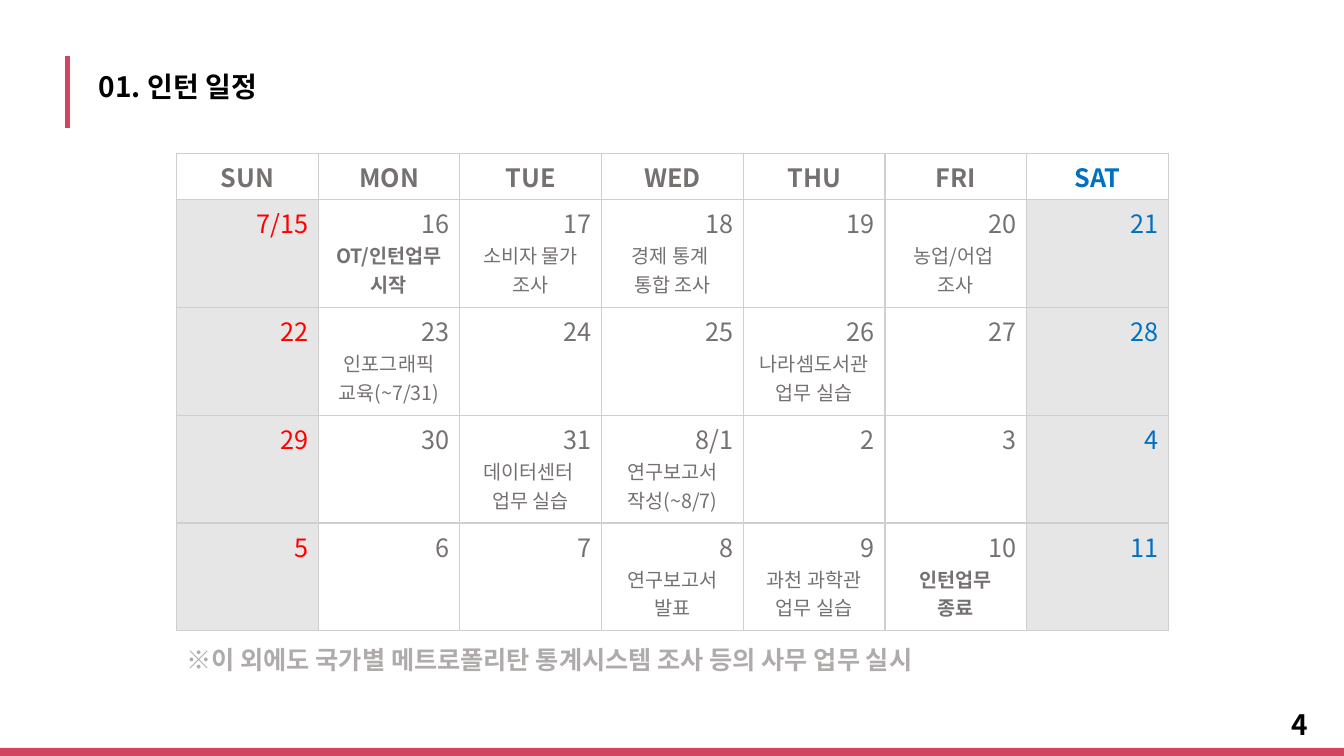
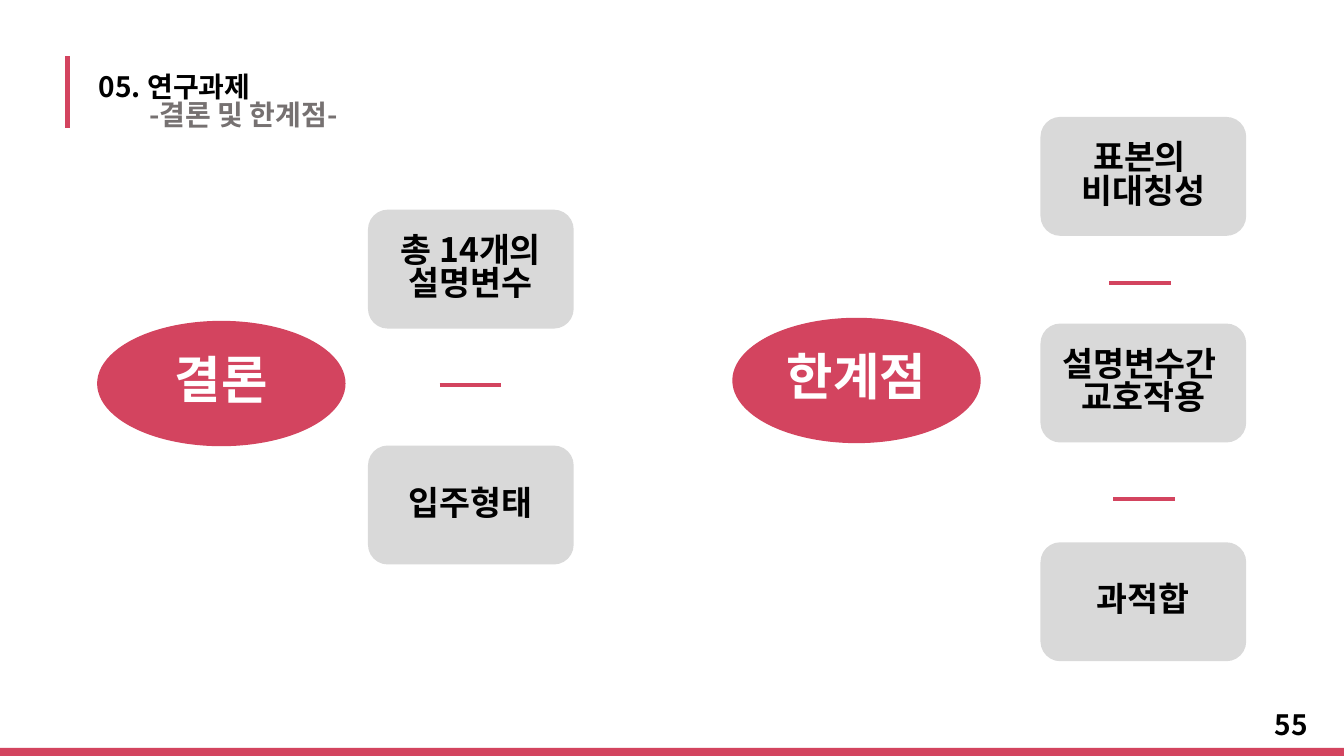
"""Builds the internship calendar slide and the conclusions slide."""
import lxml.etree
import pptx
import pptx.dml.color
import pptx.enum.shapes
import pptx.enum.text
import pptx.oxml
import pptx.oxml.ns
import pptx.util

Inches = pptx.util.Inches
RGBColor = pptx.dml.color.RGBColor
SHAPE = pptx.enum.shapes.MSO_SHAPE
ALIGN = pptx.enum.text.PP_ALIGN
ANCHOR = pptx.enum.text.MSO_ANCHOR

ROSE = RGBColor(0xD3, 0x44, 0x5F)
BLACK = RGBColor(0, 0, 0)
WHITE = RGBColor(0xFF, 0xFF, 0xFF)
TEXT_GRAY = RGBColor(0x76, 0x71, 0x71)
NOTE_GRAY = RGBColor(0xAF, 0xAB, 0xAB)
BOX_GRAY = RGBColor(0xD9, 0xD9, 0xD9)
WEEKEND_GRAY = RGBColor(0xE7, 0xE6, 0xE6)
BORDER_GRAY = RGBColor(0xD0, 0xCE, 0xCE)
RED = RGBColor(0xFF, 0, 0)
BLUE = RGBColor(0, 0x70, 0xC0)
FONT = "Noto Sans CJK KR"
TIGHT = 0.83


def write_text(frame, lines, align=ALIGN.LEFT, anchor=ANCHOR.TOP, spacing=TIGHT):
    """Fill a frame with one paragraph per (text, size, color, bold) line."""
    frame_format = {"word_wrap": True, "vertical_anchor": anchor}
    for name, value in frame_format.items():
        setattr(frame, name, value)
    for index, (text, size, color, bold) in enumerate(lines):
        para = frame.paragraphs[0] if index == 0 else frame.add_paragraph()
        para.alignment, para.line_spacing = align, spacing
        span = para.add_run()
        span.text = text
        font_format = {"name": FONT, "size": pptx.util.Pt(size), "bold": bold}
        for name, value in font_format.items():
            setattr(span.font, name, value)
        span.font.color.rgb = color
        east_asian = lxml.etree.SubElement(span.font._element, pptx.oxml.ns.qn("a:ea"))
        east_asian.set("typeface", FONT)


def add_line(page, left, top, right, bottom):
    """Draw a rose rule without shadow."""
    line = page.shapes.add_connector(
        pptx.enum.shapes.MSO_CONNECTOR.STRAIGHT,
        Inches(left), Inches(top), Inches(right), Inches(bottom))
    line.line.color.rgb = ROSE
    line.line.width = pptx.util.Pt(3)
    lxml.etree.SubElement(line._element.spPr, pptx.oxml.ns.qn("a:effectLst"))
    return line


deck = pptx.Presentation()
deck.slide_width, deck.slide_height = Inches(13.33), Inches(7.5)
layout = deck.slide_layouts[5]
for holder in list(layout.placeholders)[1:]:
    holder.element.getparent().remove(holder.element)

headings = [
    ("4", 0.44, [("01. 인턴 일정", 20, BLACK, True)]),
    ("55", 0.77, [("05. 연구과제", 20, BLACK, True),
                  ("\t-결론 및 한계점-", 20, TEXT_GRAY, True)]),
]
pages = []
for number, height, lines in headings:
    page = deck.slides.add_slide(layout)
    pages.append(page)
    if len(pages) == 1:
        band = page.shapes.add_shape(
            SHAPE.RECTANGLE, 0, Inches(7.42), deck.slide_width, Inches(0.11))
        band.height = deck.slide_height - band.top
        band.shadow.inherit = False
        band.fill.solid()
        band.fill.fore_color.rgb = ROSE
        band.line.fill.background()
        rule = add_line(page, 0.67, 0.56, 0.67, 1.27)
        for shared in (rule, band):
            layout.shapes.element.append(shared.element)
    title = page.shapes.title
    place = {"left": 0.88, "top": 0.7, "width": 4.82, "height": height}
    for name, value in place.items():
        setattr(title, name, Inches(value))
    title.text_frame.auto_size = pptx.enum.text.MSO_AUTO_SIZE.NONE
    write_text(title.text_frame, lines)
    box = page.shapes.add_textbox(Inches(10.07), Inches(7.01), Inches(3), Inches(0.4))
    write_text(box.text_frame, [(number, 20, BLACK, True)], ALIGN.RIGHT, ANCHOR.MIDDLE)

schedule, conclusion = pages

weekdays = ["SUN", "MON", "TUE", "WED", "THU", "FRI", "SAT"]
dates = ["7/15", *map(str, range(16, 32)), "8/1", *map(str, range(2, 12))]
events = {
    "16": ["OT/인턴업무 시작"],
    "17": ["소비자 물가 조사"],
    "18": ["경제 통계 ", "통합 조사"],
    "20": ["농업/어업 ", "조사"],
    "23": ["인포그래픽", "교육(~7/31)"],
    "26": ["나라셈도서관 업무 실습"],
    "31": ["데이터센터 ", "업무 실습"],
    "8/1": ["연구보고서", "작성(~8/7)"],
    "8": ["연구보고서", "발표"],
    "9": ["과천 과학관 업무 실습"],
    "10": ["인턴업무", "종료"],
}
milestones = {"16", "10"}

calendar = schedule.shapes.add_table(
    5, 7, Inches(1.75), Inches(1.52), Inches(9.84), Inches(4.74)).table
calendar.first_row = calendar.horz_banding = False
for column in calendar.columns:
    column.width = Inches(9.84 / 7)
for index, row in enumerate(calendar.rows):
    row.height = Inches(1.07 if index else 0.46)

for index, label in enumerate(weekdays + dates):
    week, day = divmod(index, 7)
    cell = calendar.cell(week, day)
    properties = cell._tc.get_or_add_tcPr()
    for side in "LRTB":
        properties.append(pptx.oxml.parse_xml(
            f'<a:ln{side} {pptx.oxml.ns.nsdecls("a")} w="12700"><a:solidFill>'
            f'<a:srgbClr val="{BORDER_GRAY}"/></a:solidFill></a:ln{side}>'))
    cell.fill.solid()
    cell.fill.fore_color.rgb = WEEKEND_GRAY if week and day in (0, 6) else WHITE
    color = BLUE if day == 6 else RED if week and day == 0 else TEXT_GRAY
    lines = [(label, 18, color, week == 0)]
    if week:
        lines += [(text, 14, TEXT_GRAY, label in milestones)
                  for text in events.get(label, [])]
    write_text(cell.text_frame, lines, ALIGN.CENTER, spacing=1.0)
    if week:
        cell.text_frame.paragraphs[0].alignment = ALIGN.RIGHT

note = schedule.shapes.add_textbox(Inches(1.75), Inches(6.39), Inches(10.24), Inches(0.4))
write_text(note.text_frame, [
    ("※이 외에도 국가별 메트로폴리탄 통계시스템 조사 등의 사무 업무 실시",
     18, NOTE_GRAY, True)])

topics = [(0.97, 3.19, "결론"), (7.27, 3.16, "한계점")]
points = [
    (3.65, 2.08, ["총 14개의 설명변수"]),
    (3.65, 4.42, ["입주형태"]),
    (10.32, 1.16, ["표본의 ", "비대칭성"]),
    (10.32, 3.21, ["설명변수간 ", "교호작용"]),
    (10.32, 5.38, ["과적합"]),
]
bubbles = [(SHAPE.OVAL, left, top, 2.45, 1.23, ROSE, [(text, 36, WHITE, True)])
           for left, top, text in topics]
bubbles += [(SHAPE.ROUNDED_RECTANGLE, left, top, 2.04, 1.18, BOX_GRAY,
             [(text, 24, BLACK, True) for text in texts])
            for left, top, texts in points]
for kind, left, top, width, height, color, lines in bubbles:
    bubble = conclusion.shapes.add_shape(
        kind, Inches(left), Inches(top), Inches(width), Inches(height))
    bubble.shadow.inherit = False
    bubble.fill.solid()
    bubble.fill.fore_color.rgb = color
    if kind == SHAPE.OVAL:
        bubble.line.color.rgb = ROSE
        bubble.line.width = pptx.util.Pt(1)
    else:
        bubble.line.fill.background()
    write_text(bubble.text_frame, lines, ALIGN.CENTER, ANCHOR.MIDDLE)

for left, top in [(4.36, 3.82), (11, 2.81), (11.04, 4.95)]:
    add_line(conclusion, left, top, left + 0.61, top)

deck.save("out.pptx")
